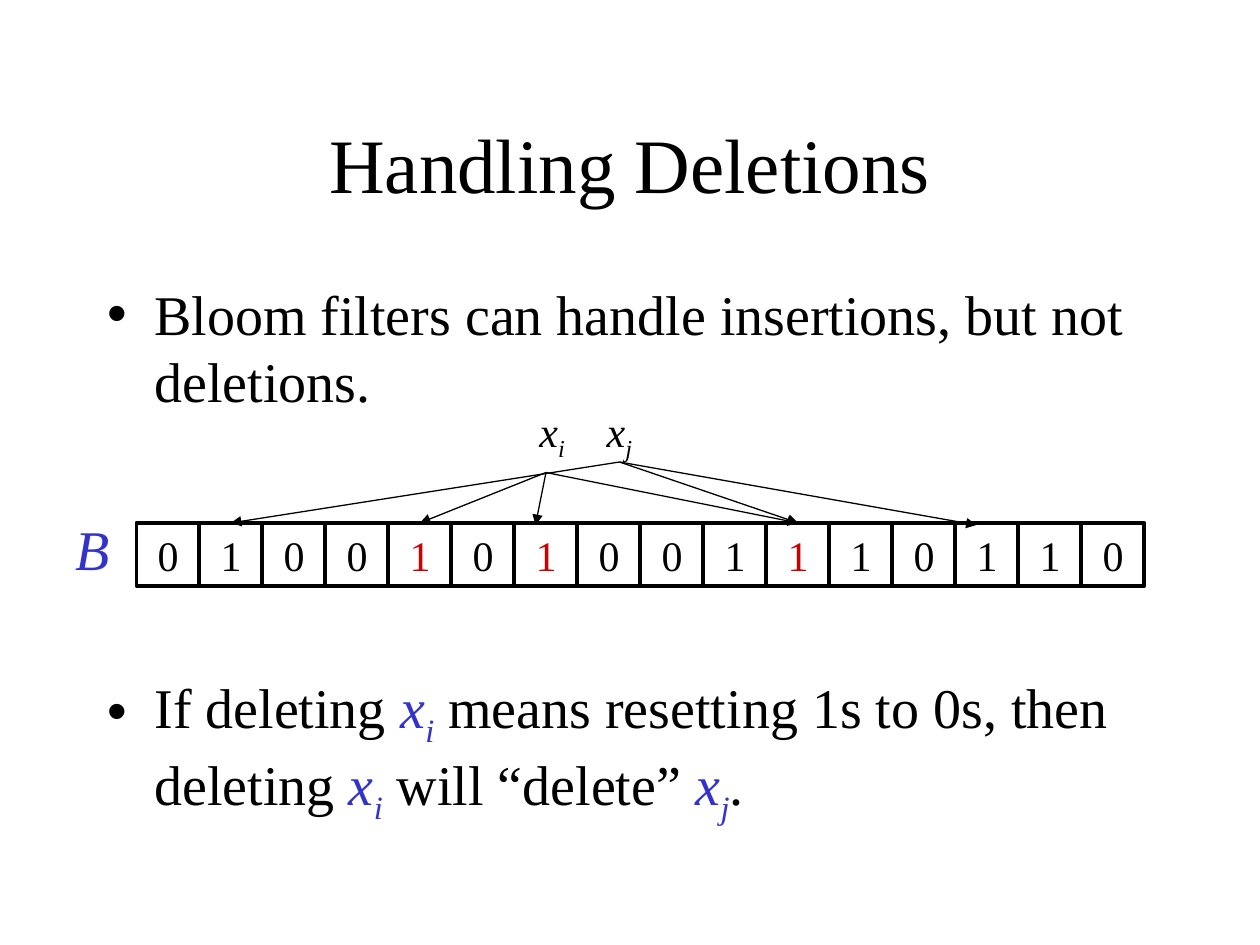
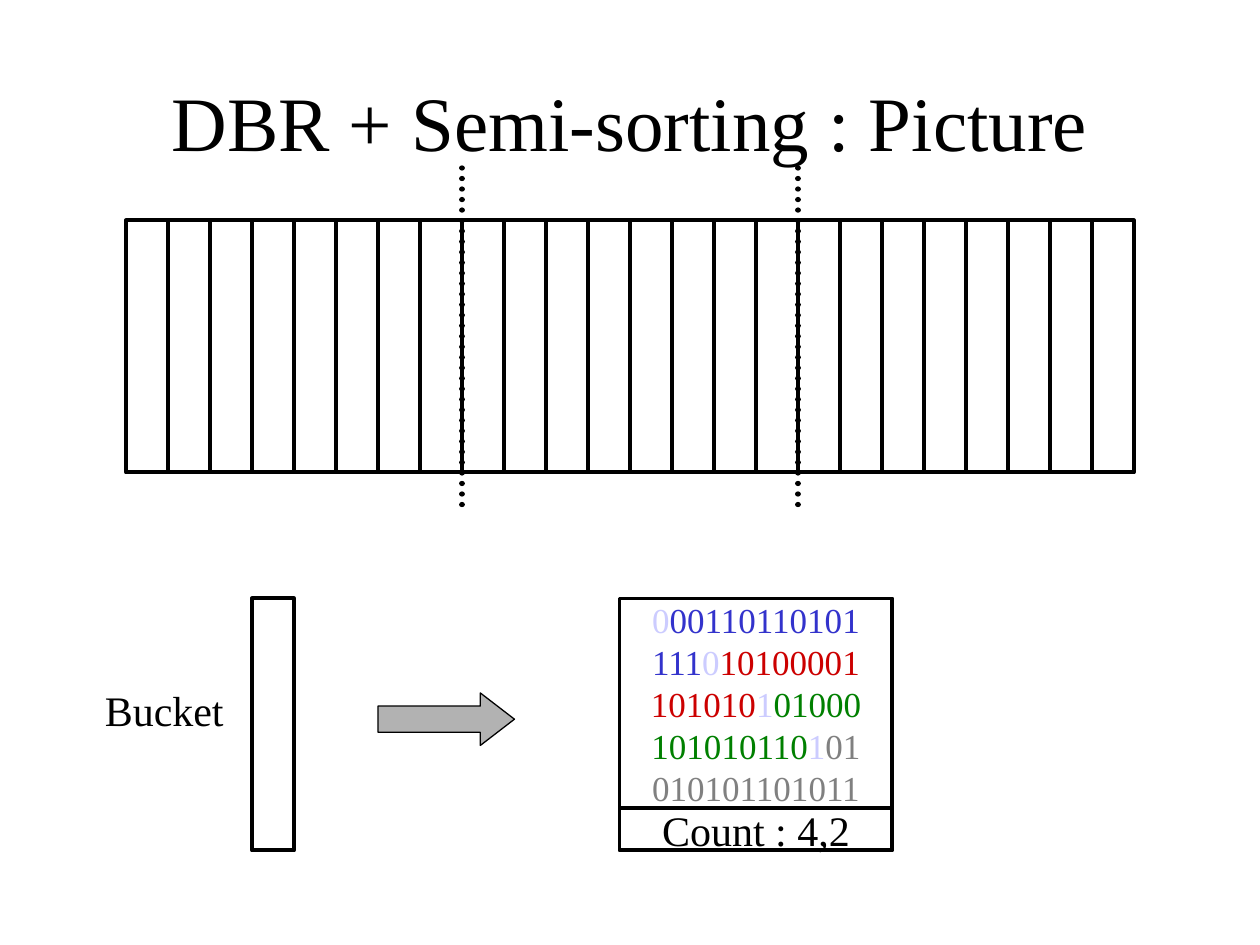
"""Build two slides on Bloom filter deletions and semi-sorted buckets."""
import pptx
import pptx.dml.color
import pptx.enum.dml
import pptx.enum.shapes
import pptx.enum.text
import pptx.oxml.ns
import pptx.util
from lxml import etree

RGB = pptx.dml.color.RGBColor
BLACK = RGB(0x00, 0x00, 0x00)
BLUE = RGB(0x33, 0x33, 0xCC)
PALE = RGB(0xCC, 0xCC, 0xFF)
RED = RGB(0xCC, 0x00, 0x00)
GREEN = RGB(0x00, 0x80, 0x00)
GREY = RGB(0x80, 0x80, 0x80)
SILVER = RGB(0xB2, 0xB2, 0xB2)

KIND = pptx.enum.shapes.MSO_SHAPE
ALIGN = pptx.enum.text.PP_ALIGN
ANCHOR = pptx.enum.text.MSO_ANCHOR
FIT = pptx.enum.text.MSO_AUTO_SIZE
PT = pptx.util.Pt
QN = pptx.oxml.ns.qn


def term(name, sub, tint=BLUE):
    """Return the runs of an italic name with a subscript."""
    return [(name, tint, True, False), (sub, tint, True, True)]


class Deck:
    """Hold the style, a grid of 120 by 90 units and the current slide."""
    font = "Times New Roman"
    cols, rows = 120, 90
    thick, thin = 2.25, 0.75

    def __init__(self):
        self.deck = pptx.Presentation()
        self.deck.slide_width = pptx.util.Inches(10)
        self.deck.slide_height = pptx.util.Inches(7.5)
        self.slide = None

    def x(self, col):
        return round(self.deck.slide_width * col / self.cols)

    def y(self, row):
        return round(self.deck.slide_height * row / self.rows)

    def box(self, col, row, wide, high):
        return self.x(col), self.y(row), self.x(wide), self.y(high)

    def place(self, shape, *area):
        shape.left, shape.top, shape.width, shape.height = self.box(*area)
        shape.text_frame.auto_size = FIT.NONE

    def style(self, para, runs, size, align):
        """Fill a paragraph with (text, colour, italic, subscript) runs."""
        para.alignment = align
        for text, tint, *form in runs:
            run = para.add_run()
            run.text = text
            font = run.font
            font.name, font.size = self.font, PT(size)
            font.color.rgb = tint
            slant, sub = form or (False, False)
            if slant:
                font.italic = True
            if sub:
                font._element.set("baseline", "-25000")

    def fill(self, frame, lines, size, align=ALIGN.LEFT):
        for num, runs in enumerate(lines):
            para = frame.add_paragraph() if num else frame.paragraphs[0]
            self.style(para, runs, size, align)

    def start(self, layout, title, row):
        self.slide = self.deck.slides.add_slide(self.deck.slide_layouts[layout])
        head = self.slide.shapes.title
        self.place(head, 9, row, 102, 15)
        head.text_frame.vertical_anchor = ANCHOR.MIDDLE
        self.fill(head.text_frame, [[(title, BLACK)]], 44, ALIGN.CENTER)

    def body(self, lines, gap):
        shape = self.slide.placeholders[1]
        self.place(shape, 9, 26, 102, 54)
        self.fill(shape.text_frame, lines, 32)
        first, *rest = shape.text_frame.paragraphs
        first.space_before = PT(0)
        first.line_spacing = PT(38.4)
        for para in rest:
            para.space_before = PT(gap)

    def label(self, area, runs, size):
        shape = self.slide.shapes.add_textbox(*self.box(*area))
        shape.text_frame.word_wrap = False
        self.fill(shape.text_frame, [runs], size)

    def block(self, area, lines=(), size=24, kind=KIND.RECTANGLE,
              tint=None, line=thick):
        shape = self.slide.shapes.add_shape(kind, *self.box(*area))
        shape.shadow.inherit = False
        if tint is None:
            shape.fill.background()
        else:
            shape.fill.solid()
            shape.fill.fore_color.rgb = tint
        shape.line.color.rgb = BLACK
        shape.line.width = PT(line)
        frame = shape.text_frame
        frame.word_wrap = False
        frame.vertical_anchor = ANCHOR.MIDDLE
        self.fill(frame, lines, size, ALIGN.CENTER)
        return shape

    def line(self, start, end, width):
        link = self.slide.shapes.add_connector(
            pptx.enum.shapes.MSO_CONNECTOR.STRAIGHT,
            self.x(start[0]), self.y(start[1]), self.x(end[0]), self.y(end[1]))
        link.line.color.rgb = BLACK
        link.line.width = PT(width)
        etree.SubElement(link._element.spPr, QN("a:effectLst"))
        return link

    def arrow(self, start, end, goal=None):
        link = self.line(start, end, self.thin)
        if goal is not None:
            link.end_connect(goal, 0)
        etree.SubElement(link.line._get_or_add_ln(), QN("a:tailEnd"),
                         type="triangle")

    def dots(self, start, end):
        link = self.line(start, end, 3)
        link.line.dash_style = pptx.enum.dml.MSO_LINE.ROUND_DOT
        link.line._get_or_add_ln().set("cap", "rnd")


def deletions(deck):
    """Draw the bit array shared by two items."""
    deck.start(1, "Handling Deletions", 8)
    deck.body([
        [("Bloom filters can handle insertions, but not deletions.", BLACK)],
        [("If deleting ", BLACK), *term("x", "i"),
         (" means resetting 1s to 0s, then deleting ", BLACK),
         *term("x", "i"), (" will “delete” ", BLACK),
         *term("x", "j"), (".", BLACK)],
    ], gap=148)
    left, top, side = 13, 49.8, 6
    shared = {4, 6, 10}
    cells = [
        deck.block((left + side * num, top, side, side),
                   [[(bit, RED if num in shared else BLACK)]])
        for num, bit in enumerate("0100101001110110")]
    deck.label((6, 48.4, 5, 7.7), [("B", BLUE, True, False)], 32)
    deck.label((50.2, 38, 5, 6.7), term("x", "i", BLACK), 24)
    deck.label((56.6, 38, 5, 6.7), term("x", "j", BLACK), 24)
    hashes = {(52, 45): (40, 51, 76), (59, 44): (76, 22, 93)}
    for start, ends in hashes.items():
        for col in ends:
            num, off = divmod(col - left - side / 2, side)
            goal = None if off else cells[int(num)]
            deck.arrow(start, (col, 50), goal)


def buckets(deck):
    """Draw the bucket row and the contents of one bucket."""
    deck.start(5, "DBR + Semi-sorting : Picture", 4)
    for col in (44, 76):
        deck.dots((col, 16), (col, 49))
    deck.label((8.8, 64.6, 13.7, 6), [("Bucket", BLACK)], 24)
    arrow = deck.block((36, 66, 13, 5), kind=KIND.RIGHT_ARROW,
                       tint=SILVER, line=deck.thin)
    arrow.adjustments[1] = 0.65
    deck.block((59, 77, 26, 4), [[("Count : 4,2", BLACK)]])
    wide, high = 4, 24
    for num in range(24):
        deck.block((12 + wide * num, 21, wide, high))
    deck.block((24, 57, wide, high))
    bits = deck.block((59, 57, 26, 20), [
        [("0", PALE), ("00110110101", BLUE)],
        [("111", BLUE), ("0", PALE), ("10100001", RED)],
        [("101010", RED), ("1", PALE), ("01000", GREEN)],
        [("101010110", GREEN), ("1", PALE), ("01", GREY)],
        [("010101101011", GREY)],
    ], size=20)
    for para in bits.text_frame.paragraphs:
        para.line_spacing = PT(24)


def main():
    """Build and save the deck."""
    deck = Deck()
    deletions(deck)
    buckets(deck)
    deck.deck.save("out.pptx")


if __name__ == "__main__":
    main()
